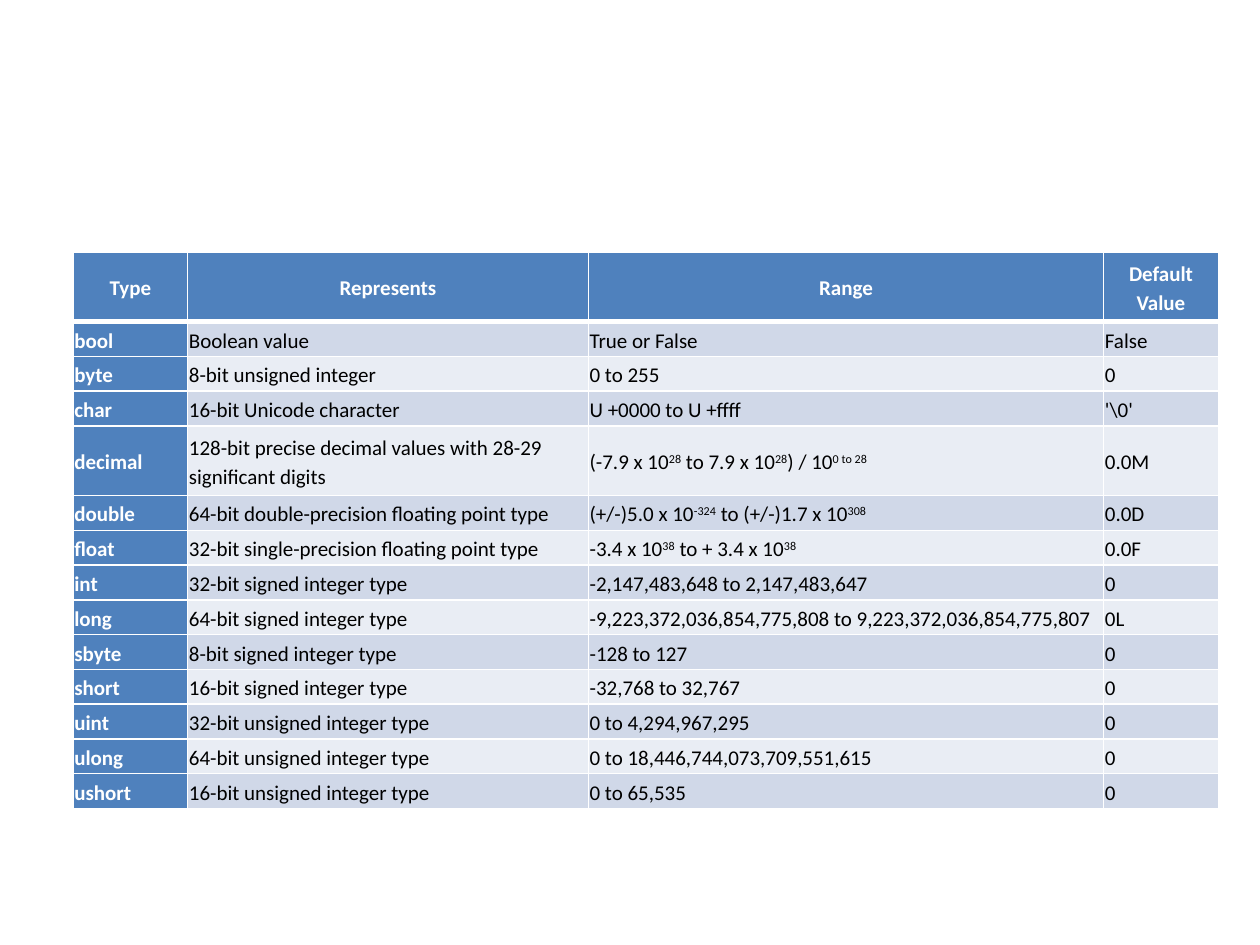
"""Build a slide with a table of built-in value types."""
from dataclasses import astuple, dataclass
from typing import Any

from lxml.etree import SubElement
from pptx import Presentation
from pptx.dml.color import RGBColor
from pptx.enum.text import MSO_ANCHOR, PP_ALIGN
from pptx.oxml.ns import qn
from pptx.util import Inches, Pt

HUES = {"head": "4F81BD", "odd": "D0D8E8", "even": "E9EDF4",
        "light": "FFFFFF", "dark": "000000"}
WIDTHS = (0.91, 3.18, 4.09, 0.91)
LEFT, TOP, HIGH = 0.58, 2, 4.42
TALL = ("Type", "decimal")
INSET = Inches(0.01)
CELL = {"vertical_anchor": MSO_ANCHOR.MIDDLE, "margin_left": INSET,
        "margin_right": INSET, "margin_top": INSET, "margin_bottom": INSET}
FONT = {"name": "Calibri", "size": Pt(12)}


@dataclass
class Entry:
    """One table row, with superscripts set between carets."""
    name: str
    sense: str
    span: str
    start: str = "0"


ROWS = [
    Entry("Type", "Represents", "Range", "Default Value"),
    Entry("bool", "Boolean value", "True or False", "False"),
    Entry("byte", "8-bit unsigned integer", "0 to 255"),
    Entry("char", "16-bit Unicode character", "U +0000 to U +ffff", r"'\0'"),
    Entry("decimal", "128-bit precise decimal values with 28-29 significant digits",
          "(-7.9 x 10^28^ to 7.9 x 10^28^) / 10^0 to 28^", "0.0M"),
    Entry("double", "64-bit double-precision floating point type",
          "(+/-)5.0 x 10^-324^ to (+/-)1.7 x 10^308^", "0.0D"),
    Entry("float", "32-bit single-precision floating point type",
          "-3.4 x 10^38^ to + 3.4 x 10^38^", "0.0F"),
    Entry("int", "32-bit signed integer type", "-2,147,483,648 to 2,147,483,647"),
    Entry("long", "64-bit signed integer type",
          "-9,223,372,036,854,775,808 to 9,223,372,036,854,775,807", "0L"),
    Entry("sbyte", "8-bit signed integer type", "-128 to 127"),
    Entry("short", "16-bit signed integer type", "-32,768 to 32,767"),
    Entry("uint", "32-bit unsigned integer type", "0 to 4,294,967,295"),
    Entry("ulong", "64-bit unsigned integer type", "0 to 18,446,744,073,709,551,615"),
    Entry("ushort", "16-bit unsigned integer type", "0 to 65,535"),
]


def style(item: Any, form: dict[str, Any]) -> None:
    """Set each format value on the item."""
    for key, value in form.items():
        setattr(item, key, value)


def edge(cell: Any, row: int) -> None:
    """Draw white cell borders, thick between header and body."""
    for side in "LRTB":
        thick = (row, side) in ((0, "B"), (1, "T"))
        line = SubElement(cell._tc.get_or_add_tcPr(), qn(f"a:ln{side}"),
                          w=str(Pt(3 if thick else 1)))
        fill = SubElement(line, qn("a:solidFill"))
        SubElement(fill, qn("a:srgbClr"), val=HUES["light"])


def write(cell: Any, text: str, head: bool, top: bool) -> None:
    """Write text with its superscripts into a cell."""
    para = cell.text_frame.paragraphs[0]
    style(para, {"line_spacing": 1.15,
                 "alignment": PP_ALIGN.CENTER if top else PP_ALIGN.LEFT})
    for pos, part in enumerate(text.split("^")):
        if not part:
            continue
        run = para.add_run()
        run.text = part
        style(run.font, FONT | {"bold": head})
        run.font.color.rgb = RGBColor.from_string(HUES["light" if head else "dark"])
        if pos % 2:
            run.font._element.set("baseline", "30000")


def paint(cell: Any, text: str, row: int, col: int) -> None:
    """Format and fill one cell."""
    head = row == 0 or col == 0
    style(cell, CELL)
    edge(cell, row)
    cell.fill.solid()
    tone = "head" if head else "odd" if row % 2 else "even"
    cell.fill.fore_color.rgb = RGBColor.from_string(HUES[tone])
    write(cell, text, head, row == 0)


def main() -> None:
    """Build and save the slide."""
    deck = Presentation()
    style(deck, {"slide_width": Inches(10), "slide_height": Inches(7.5)})
    slide = deck.slides.add_slide(deck.slide_layouts[6])
    grid = slide.shapes.add_table(len(ROWS), len(WIDTHS), Inches(LEFT), Inches(TOP),
                                  Inches(sum(WIDTHS)), Inches(HIGH)).table
    style(grid, {"first_row": False, "horz_banding": False})
    for col, width in zip(grid.columns, WIDTHS):
        col.width = Inches(width)
    unit = HIGH / (len(ROWS) + len(TALL))
    for row, entry in enumerate(ROWS):
        grid.rows[row].height = Inches(unit * (2 if entry.name in TALL else 1))
        for col, text in enumerate(astuple(entry)):
            paint(grid.cell(row, col), text, row, col)
    deck.save("out.pptx")


if __name__ == "__main__":
    main()
